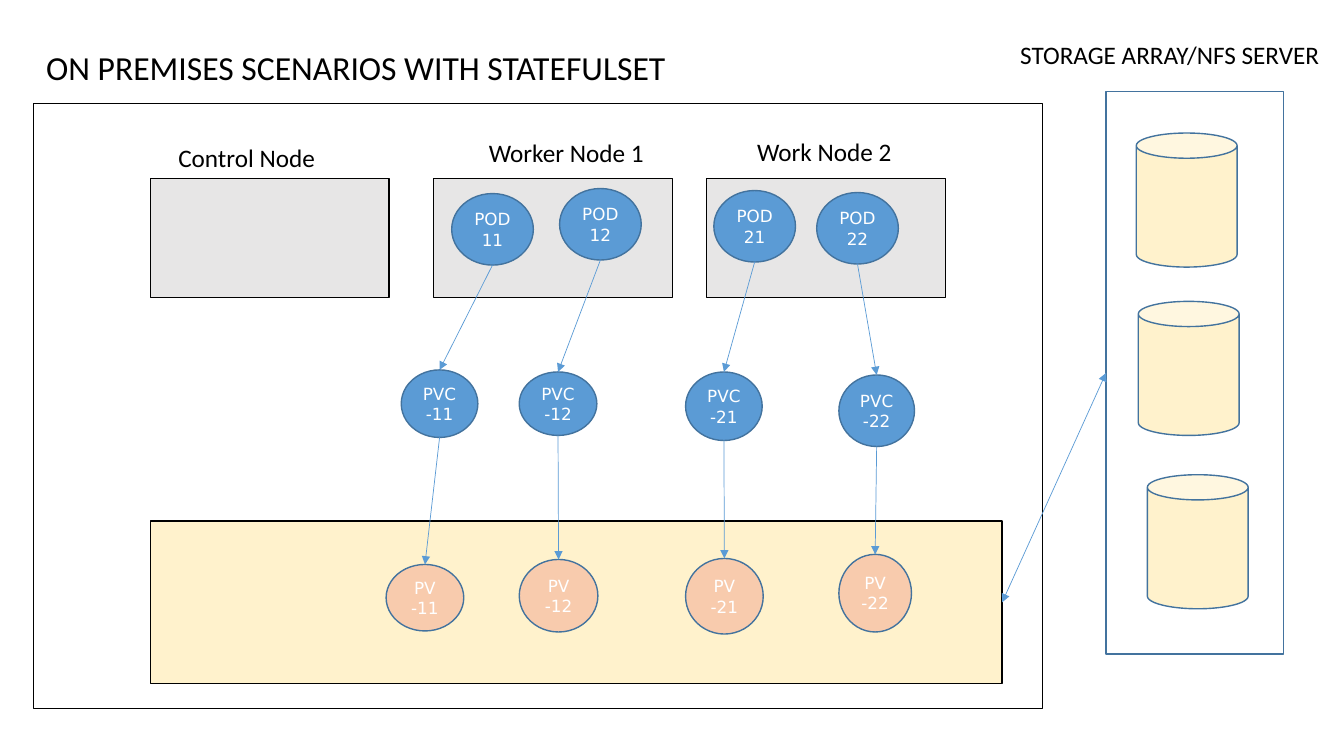
from lxml import etree
from pptx import Presentation
from pptx.dml.color import RGBColor
from pptx.enum.shapes import MSO_CONNECTOR, MSO_SHAPE
from pptx.enum.text import MSO_ANCHOR, MSO_AUTO_SIZE, PP_ALIGN
from pptx.oxml.ns import qn
from pptx.util import Inches, Pt

RECT, OVAL, CAN = MSO_SHAPE.RECTANGLE, MSO_SHAPE.OVAL, MSO_SHAPE.CAN
STRAIGHT = MSO_CONNECTOR.STRAIGHT
CENTER, MIDDLE = PP_ALIGN.CENTER, MSO_ANCHOR.MIDDLE
FIT_SHAPE = MSO_AUTO_SIZE.SHAPE_TO_FIT_TEXT
TOP, LEFT, RIGHT = 0, 1, 3

WHITE = RGBColor(0xFF, 0xFF, 0xFF)
BLACK = RGBColor(0x00, 0x00, 0x00)
GREY = RGBColor(0xE7, 0xE6, 0xE6)
BLUE = RGBColor(0x5B, 0x9B, 0xD5)
DARK_BLUE = RGBColor(0x43, 0x73, 0x9E)
CREAM = RGBColor(0xFF, 0xF2, 0xCC)
PEACH = RGBColor(0xF8, 0xCB, 0xAD)

CELL = Inches(0.1)  # side of one square of the layout grid

prs = Presentation()
prs.slide_width, prs.slide_height = Inches(13.33), Inches(7.5)
s = prs.slides.add_slide(prs.slide_layouts[6])


def add_box(kind, col, row, cols, rows, fill, line):
    sp = s.shapes.add_shape(kind, *[round(n * CELL) for n in (col, row, cols, rows)])
    sp.shadow.inherit = False
    sp.fill.solid()
    sp.fill.fore_color.rgb = fill
    sp.line.color.rgb = line
    sp.line.width = Pt(1)
    return sp


def add_arrow(x, y, target, site, ends):
    c = s.shapes.add_connector(STRAIGHT, x, y, x, y)
    c.end_connect(target, site)
    c.line.color.rgb = BLUE
    c.line.width = Pt(0.5)
    ln = c.line._get_or_add_ln()
    for end in ends:
        etree.SubElement(ln, qn("a:" + end), type="triangle")
    etree.SubElement(c._element.spPr, qn("a:effectLst"))
    return c


# Storage array, cluster, nodes and volume pool
storage = add_box(RECT, 109.7, 9.1, 17.6, 55.8, WHITE, DARK_BLUE)
add_box(RECT, 3.3, 10.3, 100.1, 60, WHITE, BLACK)
for col in (14.9, 43, 70.1):
    add_box(RECT, col, 17.7, 23.7, 11.8, GREY, BLACK)
pool = add_box(RECT, 14.9, 51.7, 84.5, 16.1, CREAM, BLACK)

# Disks
for col, row in ((112.7, 13.2), (112.9, 29.9), (113.8, 47.1)):
    add_box(CAN, col, row, 10, 13.3, CREAM, DARK_BLUE)

# Title and labels: text, size, col, row, cols, rows, wrap
labels = (
    ("ON PREMISES SCENARIOS WITH STATEFULSET", 24, 3.6, 4.2, 66.5, 5, True),
    ("STORAGE ARRAY/NFS SERVER", 18, 100.2, 3.4, 31.9, 4, False),
    ("Control Node", 18, 16.7, 13.6, 15.7, 4, False),
    ("Worker Node 1", 18, 47.5, 13.1, 17.6, 4, False),
    ("Work Node 2", 18, 74.1, 13, 15.5, 4, False),
)
for text, size, col, row, cols, rows, wrap in labels:
    tb = s.shapes.add_textbox(*[round(n * CELL) for n in (col, row, cols, rows)])
    tf = tb.text_frame
    tf.word_wrap = wrap
    tf.auto_size = FIT_SHAPE
    r = tf.paragraphs[0].add_run()
    r.text = text
    r.font.name, r.font.size = "Calibri", Pt(size)
    r.font.color.rgb = BLACK

# Chains of pod, claim and volume: col, row, cols, rows of each
stages = (("POD ", BLUE), ("PVC -", BLUE), ("PV -", PEACH))
chains = {
    "11": ((44.8, 19.2, 8.1, 7.1), (39.8, 36.7, 7.6, 6.7), (38.3, 56, 7.7, 6.6)),
    "12": ((55.5, 18.7, 8.1, 7.1), (51.5, 36.9, 7.7, 6.3), (51.5, 55.5, 7.8, 7.2)),
    "21": ((70.8, 18.9, 8.1, 7.1), (68, 36.9, 7.6, 6.8), (68, 55.4, 7.7, 7.5)),
    "22": ((81, 19.1, 8.1, 7.1), (83.2, 37.2, 7.5, 7.1), (83.2, 55, 7.2, 7.7)),
}
for number, places in chains.items():
    above = None
    for (prefix, fill), place in zip(stages, places):
        sp = add_box(OVAL, *place, fill, DARK_BLUE)
        tf = sp.text_frame
        tf.word_wrap = True
        tf.vertical_anchor = MIDDLE
        tf.margin_left = tf.margin_right = Inches(0.05)
        p = tf.paragraphs[0]
        p.alignment = CENTER
        r = p.add_run()
        r.text = prefix + number
        r.font.name, r.font.size = "DejaVu Sans", Pt(12)
        r.font.color.rgb = WHITE
        if above is not None:
            add_arrow(above.left + above.width // 2, above.top + above.height,
                      sp, TOP, ["tailEnd"])
        above = sp

# Link between the volume pool and the storage array
link = add_arrow(pool.left + pool.width, pool.top + pool.height // 2,
                 storage, LEFT, ["headEnd", "tailEnd"])
link.begin_connect(pool, RIGHT)

prs.save("out.pptx")
